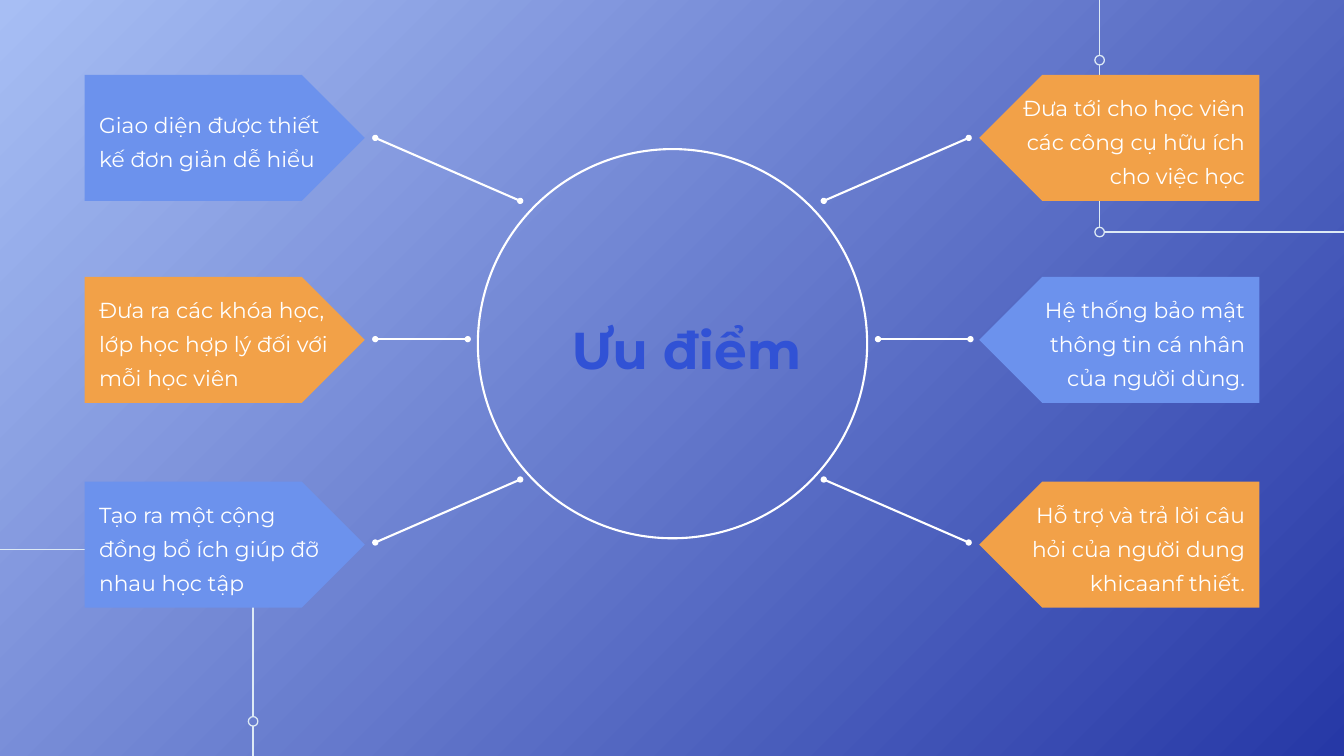
from lxml.etree import SubElement
from pptx import Presentation
from pptx.dml.color import RGBColor
from pptx.enum.shapes import MSO_CONNECTOR, MSO_SHAPE
from pptx.enum.text import MSO_ANCHOR as ANCHOR, MSO_AUTO_SIZE as AUTO, PP_ALIGN as ALIGN
from pptx.oxml.ns import qn
from pptx.util import Pt

# Content: (text, colour) from top to bottom
BLUE, ORANGE, WHITE = "6C92ED", "F2A148", "FFFFFF"
TITLE = "Ưu điểm"
LEFT = [
    ("Giao diện được thiết kế đơn giản dễ hiểu", BLUE),
    ("Đưa ra các khóa học, lớp học hợp lý đối với mỗi học viên", ORANGE),
    ("Tạo ra một cộng đồng bổ ích giúp đỡ nhau học tập", BLUE),
]
RIGHT = [
    ("Đưa tới cho học viên các công cụ hữu ích cho việc học", ORANGE),
    ("Hệ thống bảo mật thông tin cá nhân của người dùng.", BLUE),
    ("Hỗ trợ và trả lời câu hỏi của người dung khicaanf thiết.", ORANGE),
]

# Layout, in points; the right side mirrors the left
W, H = 1919.5, 1080
FONT, FRAME_COLOR, FRAME_WIDTH = "Montserrat", "DDEAF5", 1.8
TAG_X, TAG_W, TAG_H = 121, 400, 180
TAG_TOPS = [107, 395.5, 688]
TEXT_X, TEXT_W, TEXT_H = 134.5, 353.5, 149
SPOKES = [(536, 197, 743, 287), (536, 484.5, 668, 484.5), (536, 775, 743, 685)]
SPOKE_SHIFT = [0, 2.5, 0]  # nudge of the right-hand spokes
RING = 13.6
RINGS = [(361.5, 1030.5), (1570.5, 86), (1570.5, 331.5)]
GAP = RING / 2
FRAME_LINES = [
    (0, 785, 361.5, 785),
    (361.5, 785, 361.5, 1030.5 - GAP),
    (361.5, 1030.5 + GAP, 361.5, H),
    (1570.5, 0, 1570.5, 86 - GAP),
    (1570.5, 86 + GAP, 1570.5, 331.5 - GAP),
    (1570.5 + GAP, 331.5, W, 331.5),
]


def rgb(value):
    return RGBColor.from_string(value)


def add_line(x1, y1, x2, y2, color, width, dots=False):
    line = s.shapes.add_connector(MSO_CONNECTOR.STRAIGHT, Pt(x1), Pt(y1), Pt(x2), Pt(y2))
    line.line.color.rgb = rgb(color)
    line.line.width = Pt(width)
    if dots:
        ln = line.line._get_or_add_ln()
        for end in ("a:headEnd", "a:tailEnd"):
            SubElement(ln, qn(end), type="oval")
    SubElement(line._element.spPr, qn("a:effectLst"))


def add_circle(cx, cy, size, color, width):
    sp = s.shapes.add_shape(MSO_SHAPE.OVAL, Pt(cx - size / 2), Pt(cy - size / 2), Pt(size), Pt(size))
    sp.shadow.inherit = False
    sp.fill.background()
    sp.line.color.rgb = rgb(color)
    sp.line.width = Pt(width)


def set_text(sp, text, size, color, align, anchor, bold=False, spacing=1.0):
    tf = sp.text_frame
    tf.word_wrap = True
    tf.auto_size = AUTO.NONE
    tf.vertical_anchor = anchor
    p = tf.paragraphs[0]
    p.alignment = align
    p.line_spacing = spacing
    r = p.add_run()
    r.text = text
    r.font.name = FONT
    r.font.size = Pt(size)
    r.font.bold = bold
    r.font.color.rgb = rgb(color)


def add_tag(text, color, top, mirrored):
    x = W - TAG_X - TAG_W if mirrored else TAG_X
    sp = s.shapes.add_shape(MSO_SHAPE.PENTAGON, Pt(x), Pt(top), Pt(TAG_W), Pt(TAG_H))
    sp.shadow.inherit = False
    sp.fill.solid()
    sp.fill.fore_color.rgb = rgb(color)
    sp.line.fill.background()
    if mirrored:
        sp._element.spPr.xfrm.set("flipH", "1")
    x = W - TEXT_X - TEXT_W if mirrored else TEXT_X
    y = top + (TAG_H - TEXT_H) / 2
    box = s.shapes.add_textbox(Pt(x), Pt(y), Pt(TEXT_W), Pt(TEXT_H))
    align = ALIGN.RIGHT if mirrored else ALIGN.LEFT
    set_text(box, text, 31, WHITE, align, ANCHOR.MIDDLE, spacing=1.3)


prs = Presentation()
prs.slide_width, prs.slide_height = Pt(W), Pt(H)
s = prs.slides.add_slide(prs.slide_layouts[5])

# Background
fill = s.background.fill
fill.gradient()
fill.gradient_angle = 315
for stop, (position, color) in zip(fill.gradient_stops, [(0, "A7BEF4"), (1, "2638A6")]):
    stop.position = position
    stop.color.rgb = rgb(color)

# Corner frames
for ends in FRAME_LINES:
    add_line(*ends, FRAME_COLOR, FRAME_WIDTH)
for cx, cy in RINGS:
    add_circle(cx, cy, RING, FRAME_COLOR, FRAME_WIDTH)

# Central circle and spokes
add_circle(960.5, 491, 556, WHITE, 3)
for (x1, y1, x2, y2), shift in zip(SPOKES, SPOKE_SHIFT):
    add_line(x1, y1, x2, y2, WHITE, 3, dots=True)
    add_line(W - x1 + shift, y1, W - x2 + shift, y2, WHITE, 3, dots=True)

# Tags on both sides
for tags, mirrored in ((LEFT, False), (RIGHT, True)):
    for (text, color), top in zip(tags, TAG_TOPS):
        add_tag(text, color, top, mirrored)

# Title
title = s.shapes.title
title.left, title.top, title.width, title.height = Pt(783.5), Pt(449), Pt(394), Pt(97)
set_text(title, TITLE, 74, "3152D5", ALIGN.CENTER, ANCHOR.BOTTOM, bold=True)

prs.save("out.pptx")
